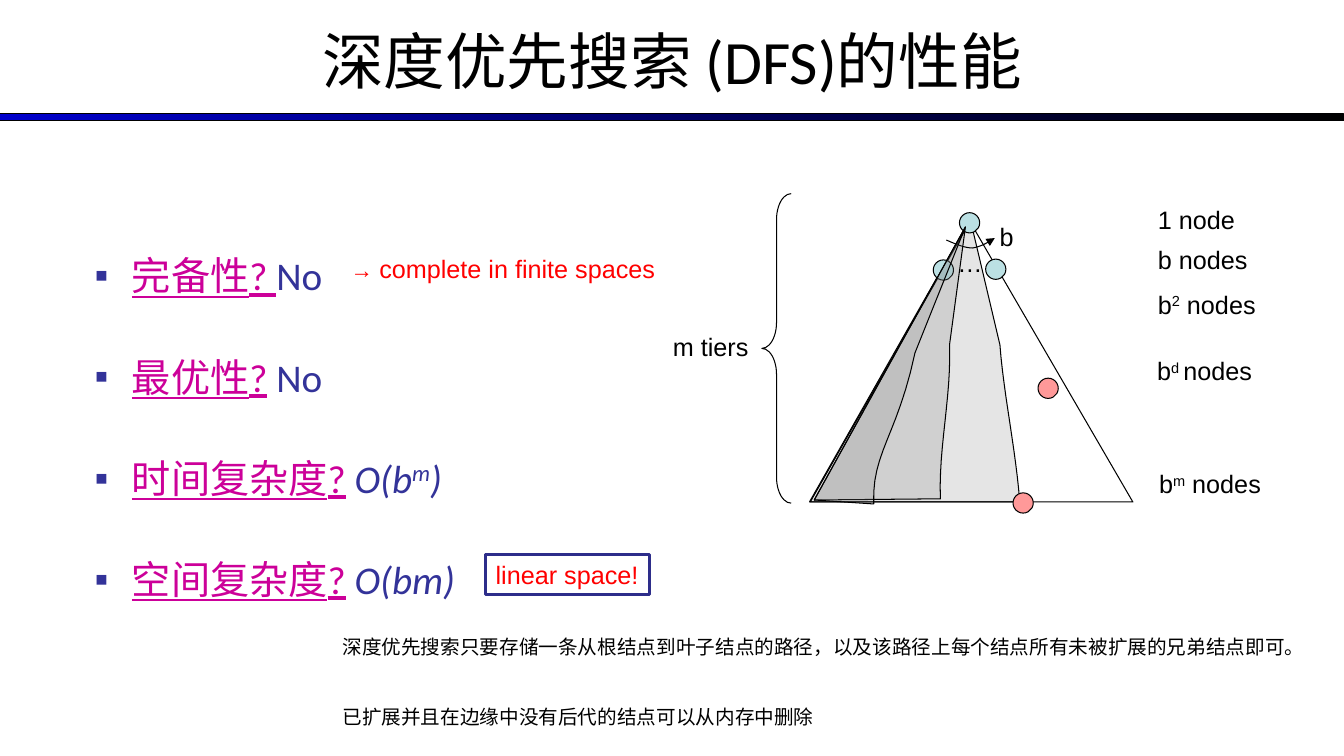
from lxml import etree
from pptx import Presentation
from pptx.dml.color import RGBColor
from pptx.enum.shapes import MSO_SHAPE
from pptx.enum.text import MSO_ANCHOR, PP_ALIGN
from pptx.oxml.ns import qn
from pptx.util import Cm, Pt

RECT, OVAL, BRACE = MSO_SHAPE.RECTANGLE, MSO_SHAPE.OVAL, MSO_SHAPE.LEFT_BRACE
TOP, MIDDLE = MSO_ANCHOR.TOP, MSO_ANCHOR.MIDDLE
LEFT, CENTER = PP_ALIGN.LEFT, PP_ALIGN.CENTER
BLACK, WHITE, RED, NAVY = "000000", "FFFFFF", "FF0000", "2D2D8A"
GREY, BLUE, PINK = "808080", "BBE0E3", "FF9999"
MAGENTA, INDIGO = "CC0099", "333399"
rgb = RGBColor.from_string


def paint(sp, fill=None, line=BLACK, width=0.75):
    sp.shadow.inherit = False
    if fill:
        sp.fill.solid()
        sp.fill.fore_color.rgb = rgb(fill)
    else:
        sp.fill.background()
    sp.line.color.rgb = rgb(line)
    sp.line.width = Pt(width)


def add_run(p, text, size, color=BLACK, font="Arial", sup=False):
    r = p.add_run()
    r.text = text
    r.font.size, r.font.name = Pt(size), font
    r.font.color.rgb = rgb(color)
    if sup:
        r.font._element.set("baseline", "30000")
    return r


prs = Presentation()
prs.slide_width, prs.slide_height = Cm(33.87), Cm(19.05)
s = prs.slides.add_slide(prs.slide_layouts[1])
title, body = s.placeholders

# Title and the gradient rule under it
title.left, title.top, title.width, title.height = Cm(0), Cm(-0.08), Cm(33.87), Cm(3.18)
title.text_frame.vertical_anchor = MIDDLE
p = title.text_frame.paragraphs[0]
p.alignment = CENTER
add_run(p, "深度优先搜索 (DFS)的性能", 44, font="Calibri")

rule = s.shapes.add_shape(RECT, Cm(0), Cm(2.87), Cm(33.87), Cm(0.18))
paint(rule)
rule.fill.gradient()
rule.fill.gradient_angle = 0
for stop, color in zip(rule.fill.gradient_stops, ("0000CC", BLACK)):
    stop.color.rgb = rgb(color)

# Search tree from back to front; a path step is one point or a Bézier triple
parts = [
    ("shade", GREY, [(20.42, 12.65)], [[(25.7, 12.65)],
     [(25.6, 11.33), (25.3, 9.98), (25.2, 8.69)], [(24.46, 5.56)]]),
    ("tree", None, [(20.4, 12.65)], [[(28.55, 12.65)], [(24.43, 5.56)]]),
    ("node", BLUE, [(24.18, 5.36), (23.52, 6.55), (24.84, 6.53)], []),
    ("node", PINK, [(25.53, 12.42), (26.16, 9.53)], []),
    ("arrow", None, [(23.85, 6.05)], [[(24.08, 6.15), (24.31, 6.25), (24.51, 6.25)],
     [(24.71, 6.22), (24.89, 6.12), (25.07, 6)]]),
    ("shade", GREY, [(20.52, 12.6)], [[(23.7, 12.57)],
     [(23.65, 11.28), (23.98, 9.98), (23.93, 8.69)], [(24.33, 5.72)]]),
    ("shade", GREY, [(20.52, 12.6)], [[(22.02, 12.7)],
     [(21.97, 11.4), (22.61, 11), (23.06, 8.89)], [(24.33, 5.72)]]),
]
STEPS = 12
for kind, fill, starts, steps in parts:
    if kind == "node":
        for x, y in starts:
            paint(s.shapes.add_shape(OVAL, Cm(x), Cm(y), Cm(0.51), Cm(0.51)), fill)
        continue
    points = list(starts)
    for step in steps:
        if len(step) == 1:
            points += step
            continue
        bezier = [points[-1]] + step
        for i in range(1, STEPS + 1):
            t = i / STEPS
            weights = ((1 - t) ** 3, 3 * t * (1 - t) ** 2, 3 * t * t * (1 - t), t ** 3)
            points.append(tuple(sum(w * pt[axis] for w, pt in zip(weights, bezier))
                                for axis in (0, 1)))
    emu = [(Cm(x), Cm(y)) for x, y in points]
    builder = s.shapes.build_freeform(*emu[0])
    builder.add_line_segments(emu[1:], close=kind != "arrow")
    sp = builder.convert_to_shape()
    paint(sp, fill)
    if kind == "shade":
        clr = sp._element.spPr.find(qn("a:solidFill")).find(qn("a:srgbClr"))
        etree.SubElement(clr, qn("a:alpha")).set("val", "20000")
    if kind == "arrow":
        etree.SubElement(sp.line._get_or_add_ln(), qn("a:tailEnd")).set("type", "triangle")

brace = s.shapes.add_shape(BRACE, Cm(19.2), Cm(4.88), Cm(0.74), Cm(7.8))
brace.adjustments[0] = 0.884
paint(brace)

# Labels: left, top, width, colour, runs (text, size, superscript)
labels = [
    (23.88, 6.12, 0.76, BLACK, [("…", 18, False)]),
    (24.94, 5.44, 0.84, BLACK, [("b", 18, False)]),
    (28.93, 5.03, 3.1, BLACK, [("1 node", 18, False)]),
    (28.93, 6.02, 3.1, BLACK, [("b nodes", 18, False)]),
    (28.93, 7.16, 3.1, BLACK, [("b", 18, False), ("2", 18, True), (" nodes", 18, False)]),
    (28.91, 8.84, 4.06, BLACK, [("b", 18, False), ("d ", 18, True), ("nodes", 18, False)]),
    (28.96, 11.68, 4.06, BLACK, [("b", 18, False), ("m", 18, True), (" nodes", 18, False)]),
    (16.71, 8.23, 3.5, BLACK, [("m tiers", 18, False)]),
    (8.59, 6.27, 8.6, RED, [("→ ", 16, False), ("complete in finite spaces", 18, False)]),
]
for left, top, width, color, runs in labels:
    tf = s.shapes.add_textbox(Cm(left), Cm(top), Cm(width), Cm(1.02)).text_frame
    tf.word_wrap = True
    for text, size, sup in runs:
        add_run(tf.paragraphs[0], text, size, color, sup=sup)

# Boxed remark
remark = s.shapes.add_shape(RECT, Cm(12.24), Cm(13.97), Cm(4.14), Cm(1.02))
paint(remark, WHITE, NAVY, 2)
tf = remark.text_frame
tf.word_wrap = False
tf.vertical_anchor = TOP
tf.paragraphs[0].alignment = LEFT
add_run(tf.paragraphs[0], "linear space!", 18, RED)

# Properties list: heading, then answer runs (text, italic, superscript)
properties = [
    ("完备性? ", [("No", False, False)]),
    ("最优性?", [(" No", False, False)]),
    ("时间复杂度?", [(" ", False, False), ("O(b", True, False), ("m", True, True),
                (")", True, False)]),
    ("空间复杂度?", [(" ", False, False), ("O(bm)", True, False)]),
]
body.left, body.top, body.width, body.height = Cm(2.13), Cm(5.03), Cm(11.46), Cm(12.07)
tf = body.text_frame
for i, (heading, answer) in enumerate(properties):
    p = tf.add_paragraph() if i else tf.paragraphs[0]
    pPr = p._p.get_or_add_pPr()
    pPr.set("marL", str(Cm(0.94)))
    pPr.set("indent", str(-Cm(0.94)))
    bu_clr = etree.SubElement(pPr, qn("a:buClr"))
    etree.SubElement(bu_clr, qn("a:srgbClr")).set("val", INDIGO)
    etree.SubElement(pPr, qn("a:buFont")).set("typeface", "Arial")
    etree.SubElement(pPr, qn("a:buChar")).set("char", "▪")
    p.line_spacing = 2.0
    p.space_before = Pt(5 if i else 0)
    add_run(p, heading, 28, MAGENTA, "Calibri").font.underline = True
    for text, italic, sup in answer:
        add_run(p, text, 28, INDIGO, "Calibri", sup).font.italic = italic

# Notes on memory use
notes = ["深度优先搜索只要存储一条从根结点到叶子结点的路径，以及该路径上每个结点所有未被扩展的兄弟结点即可。",
         "已扩展并且在边缘中没有后代的结点可以从内存中删除"]
tf = s.shapes.add_textbox(Cm(8.38), Cm(15.57), Cm(25.4), Cm(3.4)).text_frame
tf.margin_left = Cm(0.25)
tf.margin_right = Cm(0)
tf.word_wrap = True
for i, note in enumerate(notes):
    p = tf.add_paragraph() if i else tf.paragraphs[0]
    p.line_spacing = 1.5
    p.space_before = Pt(25 if i else 0)
    p._p.get_or_add_pPr().set("marL", "0")
    add_run(p, note, 14)

prs.save("out.pptx")
